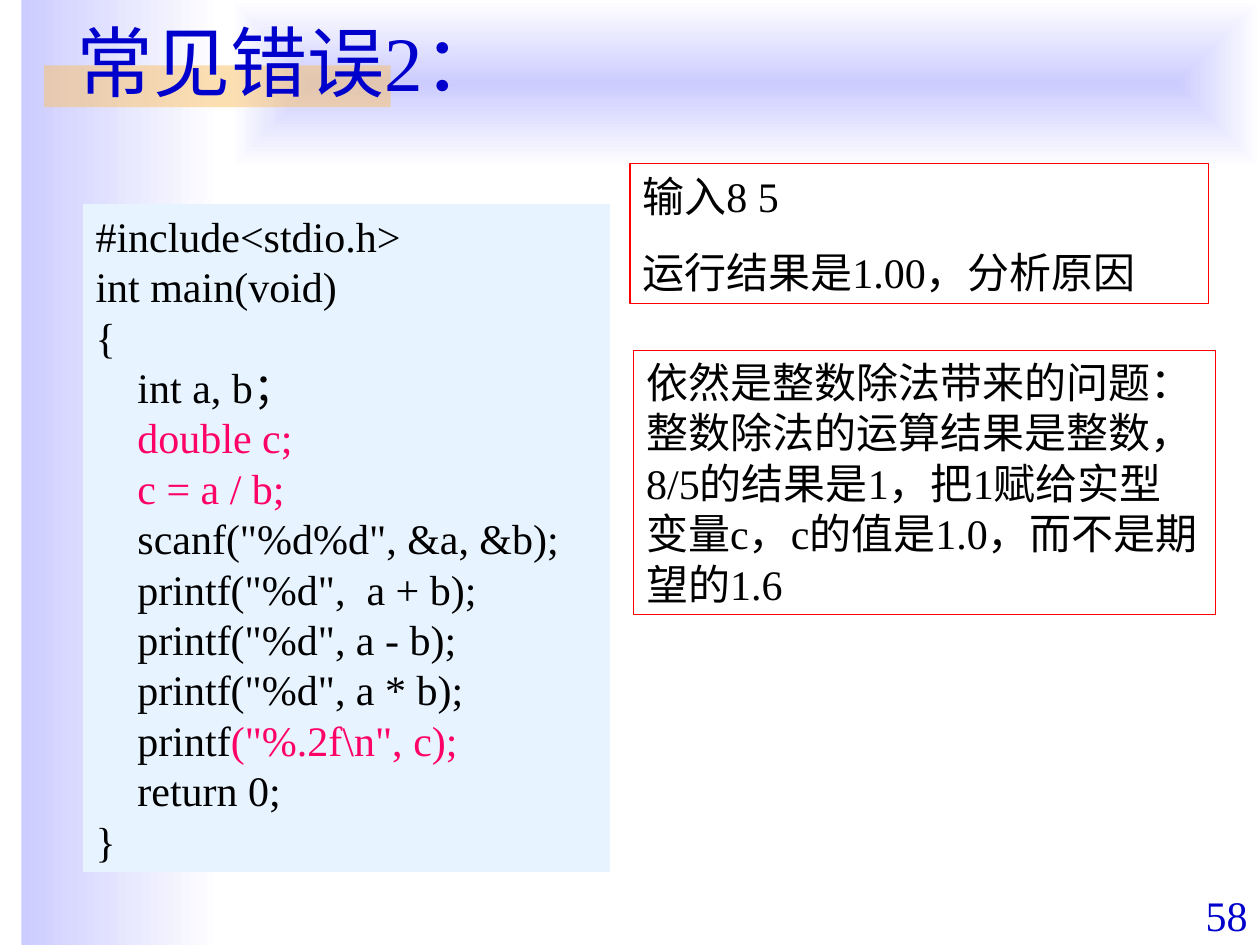
from lxml.etree import SubElement
from pptx import Presentation
from pptx.dml.color import RGBColor
from pptx.enum.shapes import MSO_SHAPE
from pptx.enum.text import MSO_ANCHOR, PP_ALIGN
from pptx.oxml import parse_xml
from pptx.oxml.ns import nsdecls, qn
from pptx.util import Inches, Pt

WHITE = RGBColor(0xFF, 0xFF, 0xFF)
BLACK = RGBColor(0, 0, 0)
LAVENDER = RGBColor(0xCC, 0xCC, 0xFF)
ORANGE = RGBColor(0xFA, 0xC1, 0x64)
BLUE = RGBColor(0, 0, 0xCC)
PALE_BLUE = RGBColor(0xE7, 0xF3, 0xFF)
PINK = RGBColor(0xFF, 0, 0x66)
RED = RGBColor(0xFF, 0, 0)
FONT = "Times New Roman"

# Each line is a list of (text, colour) runs.
CODE = [
    [("#include<stdio.h>", BLACK)],
    [("int main(void)", BLACK)],
    [("{", BLACK)],
    [("    int a, b；", BLACK)],
    [("    double c;", PINK)],
    [("    c = a / b;", PINK)],
    [('    scanf("%d%d", &a, &b);', BLACK)],
    [('    printf("%d",  a + b);', BLACK)],
    [('    printf("%d", a - b);', BLACK)],
    [('    printf("%d", a * b);', BLACK)],
    [("    printf", BLACK), ('("%.2f\\n", c);', PINK)],
    [("    return 0;", BLACK)],
    [("}", BLACK)],
]
QUESTION = ["输入8 5", "运行结果是1.00，分析原因"]
ANSWER = ["依然是整数除法带来的问题：整数除法的运算结果是整数，"
          "8/5的结果是1，把1赋给实型变量c，c的值是1.0，而不是期望的1.6"]


def add_rect(slide, box):
    sp = slide.shapes.add_shape(MSO_SHAPE.RECTANGLE, *map(Inches, box))
    sp.shadow.inherit = False
    sp.line.fill.background()
    return sp


def add_gradient(slide, box, from_center=False):
    """Fade lavender to white, rightwards or outwards from the centre."""
    fill = add_rect(slide, box).fill
    fill.gradient()
    fill.gradient_angle = 0
    for stop, position, color in zip(fill.gradient_stops, (0, 1), (LAVENDER, WHITE)):
        stop.position = position
        stop.color.rgb = color
    if from_center:
        grad = fill._xPr.find(qn("a:gradFill"))
        lin = grad.find(qn("a:lin"))
        grad.replace(lin, parse_xml(
            f'<a:path {nsdecls("a")} path="rect">'
            '<a:fillToRect l="50000" t="50000" r="50000" b="50000"/></a:path>'))


def add_background(slide):
    add_gradient(slide, (0.17, 0, 1.58, 7.5))
    add_gradient(slide, (1.83, 0, 8.17, 1.33), from_center=True)
    bar = add_rect(slide, (0.35, 0.52, 2.75, 0.33))
    bar.fill.solid()
    bar.fill.fore_color.rgb = ORANGE
    color = bar.fill._xPr.find(qn("a:solidFill"))[0]
    SubElement(color, qn("a:alpha"), val="50000")


def write(sp, lines, size=24, anchor=MSO_ANCHOR.TOP, align=PP_ALIGN.LEFT, gap=0):
    """Write lines of (text, colour) runs, with gap points between lines."""
    tf = sp.text_frame
    tf.word_wrap = True
    tf.vertical_anchor = anchor
    for i, line in enumerate(lines):
        p = tf.add_paragraph() if i else tf.paragraphs[0]
        p.alignment = align
        p.space_before = Pt(gap if i else 0)
        for text, color in line:
            r = p.add_run()
            r.text = text
            for name, value in {"name": FONT, "size": Pt(size)}.items():
                setattr(r.font, name, value)
            r.font.color.rgb = color


def add_label(slide, box, text, **layout):
    sp = slide.shapes.add_textbox(*map(Inches, box))
    write(sp, [[(text, BLUE)]], **layout)


def add_code(slide, box):
    sp = add_rect(slide, box)
    sp.fill.solid()
    sp.fill.fore_color.rgb = PALE_BLUE
    write(sp, CODE)


def add_note(slide, box, lines):
    sp = add_rect(slide, box)
    sp.fill.background()
    sp.line.color.rgb = RED
    sp.line.width = Pt(0.75)
    write(sp, [[(text, BLACK)] for text in lines], gap=15)


def main():
    prs = Presentation()
    prs.slide_width, prs.slide_height = Inches(10), Inches(7.5)
    s = prs.slides.add_slide(prs.slide_layouts[6])
    add_background(s)
    add_label(s, (0.51, -0.03, 9.13, 1.02), "常见错误2：", size=44,
              anchor=MSO_ANCHOR.MIDDLE)
    add_code(s, (0.66, 1.62, 4.18, 5.3))
    add_note(s, (5, 1.3, 4.59, 1.11), QUESTION)
    add_note(s, (5.03, 2.78, 4.62, 2.1), ANSWER)
    add_label(s, (9, 7.01, 1, 0.5), "58", anchor=MSO_ANCHOR.BOTTOM,
              align=PP_ALIGN.RIGHT)
    prs.save("out.pptx")


if __name__ == "__main__":
    main()
